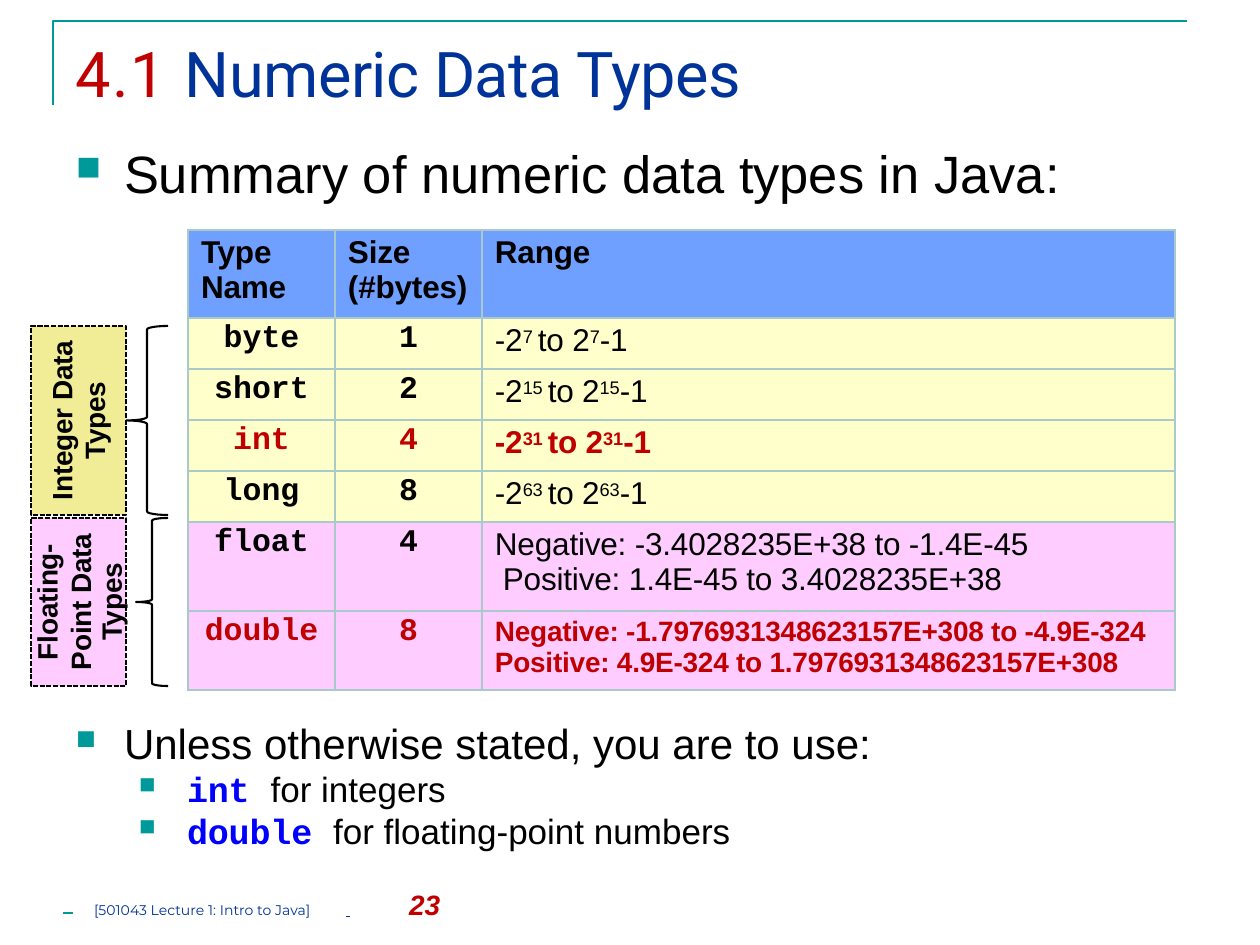
from lxml.etree import SubElement
from pptx import Presentation
from pptx.dml.color import RGBColor
from pptx.enum.dml import MSO_LINE
from pptx.enum.shapes import MSO_CONNECTOR, MSO_SHAPE
from pptx.enum.text import MSO_ANCHOR, MSO_AUTO_SIZE, PP_ALIGN
from pptx.oxml.ns import qn
from pptx.util import Emu, Pt

COLORS = {
    "teal": "009999", "navy": "003399", "red": "C00000", "black": "000000",
    "blue": "0000FF", "header": "6F9FFF", "integer": "FFFFCC",
    "floating": "FFCCFF", "khaki": "F1ED97", "border": "AAC9C9",
}

TITLE = [
    ("4.1 ", dict(size=36, font="Roboto", color="red", spacing=100)),
    ("Numeric Data Types", dict(size=36, font="Roboto", color="navy", spacing=-30)),
]
SUMMARY = [(0, None, [("Summary of numeric data types in Java:", dict(size=30))])]
KEYWORD = dict(size=20, font="Courier New", color="blue", bold=True, spacing=-10)
ADVICE = [
    (0, 28.1, [("Unless otherwise stated, you are to use:", dict(size=24))]),
    (1, 23.4, [("int ", KEYWORD), ("for integers", dict(size=20))]),
    (1, None, [("double ", KEYWORD), ("for floating-point numbers", dict(size=20))]),
]
BULLET_MARGINS = [49, 112]
BULLET_HANG = 48

HEADERS = ["Type Name", "Size (#bytes)", "Range"]
TYPES = [
    ("byte", "1", ["-2^7 ^to 2^7^-1"], "integer", 18),
    ("short", "2", ["-2^15 ^to 2^15^-1"], "integer", 18),
    ("int", "4", ["-2^31 ^to 2^31^-1"], "integer", 18),
    ("long", "8", ["-2^63 ^to 2^63^-1"], "integer", 18),
    ("float", "4", ["Negative: -3.4028235E+38 to -1.4E-45",
                    "Positive:\t1.4E-45 to 3.4028235E+38"], "floating", 18),
    ("double", "8", ["Negative: -1.7976931348623157E+308 to -4.9E-324",
                     "Positive: 4.9E-324 to 1.7976931348623157E+308"], "floating", 16),
]
PREFERRED = {"int", "double"}
COLUMN_WIDTHS = [147, 147, 693]
ROW_HEIGHTS = [88, 51, 51, 51, 51, 89, 79]

GROUPS = [
    (["Integer Data", "Types"], [18.1, 18.6], "khaki", 326, 189, 126),
    (["Floating-\vPoint Data", "Types"], [19.2, 17.5], "floating", 518, 168, 136),
]
GROUP_LEFT, GROUP_WIDTH, BRACE_RIGHT = 31, 95, 168

FOOTER = [
    ("[501043 Lecture 1: Intro to Java]\t", dict(size=8, font="Montserrat", color="navy")),
    (" ", dict(size=8, font="Montserrat", color="navy", underline=True)),
    ("\t", dict(size=8, font="Montserrat", color="navy")),
    ("23", dict(size=16, color="red", bold=True, italic=True)),
]


def px(count):
    return Emu(round(count * 914400 / 126))


def rgb(name):
    return RGBColor.from_string(COLORS[name])


def style(span, size, font="Arial", color="black", bold=False, italic=False,
          underline=False, spacing=0, baseline=0):
    span.font.size = Pt(size)
    span.font.name = font
    span.font.color.rgb = rgb(color)
    span.font.bold = bold
    span.font.italic = italic
    span.font.underline = underline
    properties = span._r.get_or_add_rPr()
    if spacing:
        properties.set("spc", str(spacing))
    if baseline:
        properties.set("baseline", str(baseline))


def write(para, spans):
    for text, look in spans:
        span = para.add_run()
        span.text = text
        style(span, **look)


def indent(para, margin, first=0):
    properties = para._p.get_or_add_pPr()
    properties.set("marL", str(px(margin)))
    properties.set("indent", str(px(first)))
    return properties


def add_tabs(properties, stops):
    tabs = SubElement(properties, qn("a:tabLst"))
    for stop in stops:
        SubElement(tabs, qn("a:tab"), pos=str(px(stop)), algn="l")


def prepare(frame, top=0):
    frame.word_wrap = True
    frame.auto_size = MSO_AUTO_SIZE.NONE
    frame.margin_left = frame.margin_right = frame.margin_bottom = 0
    frame.margin_top = px(top)
    return frame


def next_para(frame, index):
    return frame.add_paragraph() if index else frame.paragraphs[0]


def add_bullets(page, items, left, top, width, height):
    box = page.shapes.add_textbox(px(left), px(top), px(width), px(height))
    frame = prepare(box.text_frame, 1)
    for index, (level, leading, spans) in enumerate(items):
        para = next_para(frame, index)
        para.level = level
        properties = indent(para, BULLET_MARGINS[level], -BULLET_HANG)
        bullet_color = SubElement(properties, qn("a:buClr"))
        SubElement(bullet_color, qn("a:srgbClr"), val=COLORS["teal"])
        SubElement(properties, qn("a:buSzPct"), val="65000")
        SubElement(properties, qn("a:buChar"), char="■")
        if leading:
            para.line_spacing = Pt(leading)
        write(para, spans)


def format_cell(cell, fill, top):
    cell.margin_left = cell.margin_right = cell.margin_bottom = 0
    cell.margin_top = px(top)
    properties = cell._tc.get_or_add_tcPr()
    for side in ("a:lnL", "a:lnR", "a:lnT", "a:lnB"):
        line = SubElement(properties, qn(side), w=str(Pt(1)))
        paint = SubElement(line, qn("a:solidFill"))
        SubElement(paint, qn("a:srgbClr"), val=COLORS["border"])
    cell.fill.solid()
    cell.fill.fore_color.rgb = rgb(fill)


def add_type_table(page):
    frame = page.shapes.add_table(len(ROW_HEIGHTS), len(COLUMN_WIDTHS), px(188), px(230),
                                  px(sum(COLUMN_WIDTHS)), px(sum(ROW_HEIGHTS)))
    table = frame.table
    table.first_row = table.horz_banding = False
    for column, width in zip(table.columns, COLUMN_WIDTHS):
        column.width = px(width)
    for row, height in zip(table.rows, ROW_HEIGHTS):
        row.height = px(height)
    for index, text in enumerate(HEADERS):
        cell = table.cell(0, index)
        format_cell(cell, "header", 5)
        para = cell.text_frame.paragraphs[0]
        indent(para, 13)
        write(para, [(text, dict(size=18, bold=True, spacing=-10))])
    for row, (name, size, ranges, fill, points) in enumerate(TYPES, 1):
        preferred = name in PREFERRED
        color = "red" if preferred else "black"
        for column, text in enumerate((name, size)):
            cell = table.cell(row, column)
            format_cell(cell, fill, 3)
            para = cell.text_frame.paragraphs[0]
            para.alignment = PP_ALIGN.CENTER
            write(para, [(text, dict(size=18, font="Courier New", color=color, bold=True))])
        cell = table.cell(row, 2)
        format_cell(cell, fill, 5)
        for index, text in enumerate(ranges):
            para = next_para(cell.text_frame, index)
            tabbed = "\t" in text
            properties = indent(para, 21 if tabbed else 13)
            if tabbed:
                add_tabs(properties, [142])
            write(para, [(part, dict(size=points, color=color, bold=preferred, spacing=-10,
                                     baseline=25000 * (order % 2)))
                         for order, part in enumerate(text.split("^"))])


def add_group(page, lines, leadings, fill, top, height, brace_left):
    brace = page.shapes.add_shape(MSO_SHAPE.LEFT_BRACE, px(brace_left), px(top),
                                  px(BRACE_RIGHT - brace_left), px(height))
    brace.shadow.inherit = False
    brace.fill.background()
    brace.line.color.rgb = rgb("black")
    brace.line.width = Pt(1.2)
    label = page.shapes.add_shape(MSO_SHAPE.RECTANGLE, px(GROUP_LEFT), px(top),
                                  px(GROUP_WIDTH), px(height))
    label.shadow.inherit = False
    label.fill.solid()
    label.fill.fore_color.rgb = rgb(fill)
    label.line.color.rgb = rgb("black")
    label.line.width = Pt(0.96)
    label.line.dash_style = MSO_LINE.SQUARE_DOT
    frame = prepare(label.text_frame)
    frame.vertical_anchor = MSO_ANCHOR.MIDDLE
    frame._txBody.bodyPr.set("vert", "vert270")
    for index, (text, leading) in enumerate(zip(lines, leadings)):
        para = next_para(frame, index)
        para.text = text
        para.alignment = PP_ALIGN.CENTER
        para.line_spacing = Pt(leading)
        for span in para.runs:
            style(span, 16, bold=True, spacing=-10)


def add_rules(page):
    builder = page.shapes.build_freeform(px(53), px(105))
    builder.add_line_segments([(px(53), px(21)), (px(1187), px(21))], close=False)
    corner = builder.convert_to_shape()
    corner.shadow.inherit = False
    corner.fill.background()
    dash = page.shapes.add_connector(MSO_CONNECTOR.STRAIGHT, px(63), px(913), px(73), px(913))
    SubElement(dash._element.spPr, qn("a:effectLst"))
    for rule in (corner, dash):
        rule.line.color.rgb = rgb("teal")
        rule.line.width = Pt(1.56)


def main():
    deck = Presentation()
    deck.slide_width, deck.slide_height = px(1260), px(945)
    page = deck.slides.add_slide(deck.slide_layouts[5])
    add_rules(page)
    title = page.shapes.title
    title.left, title.top, title.width, title.height = px(75), px(34), px(672), px(80)
    frame = prepare(title.text_frame, 1)
    frame.vertical_anchor = MSO_ANCHOR.TOP
    frame.paragraphs[0].alignment = PP_ALIGN.LEFT
    write(frame.paragraphs[0], TITLE)
    add_bullets(page, SUMMARY, 75, 140, 988, 67)
    add_type_table(page)
    add_bullets(page, ADVICE, 75, 718, 799, 136)
    for group in GROUPS:
        add_group(page, *group)
    footer = page.shapes.add_textbox(px(92), px(888), px(1150), px(35))
    para = prepare(footer.text_frame).paragraphs[0]
    add_tabs(indent(para, 2), [275, 1109])
    para.line_spacing = Pt(18.9)
    write(para, FOOTER)
    deck.save("out.pptx")


if __name__ == "__main__":
    main()
